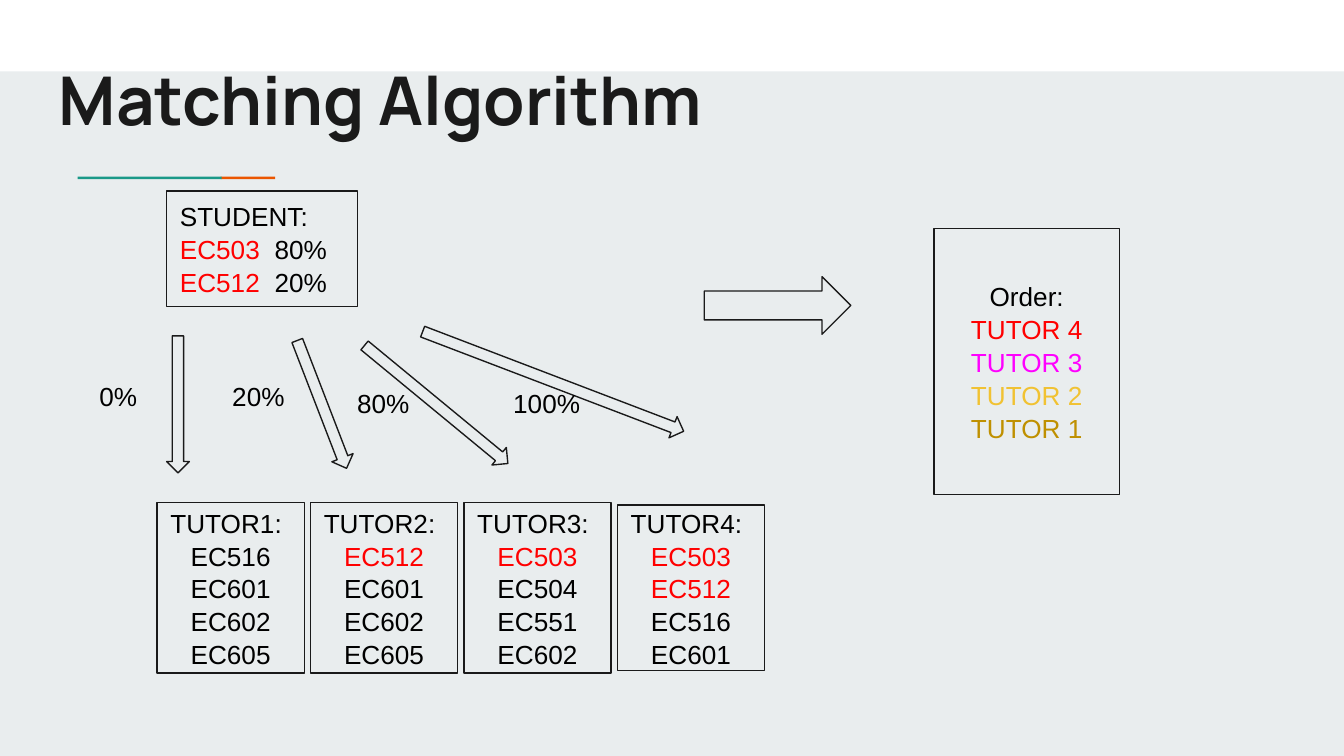
"""Build the Matching Algorithm slide."""
from lxml.etree import SubElement
from pptx import Presentation
from pptx.dml.color import RGBColor
from pptx.enum.shapes import MSO_SHAPE
from pptx.enum.text import MSO_ANCHOR, PP_ALIGN
from pptx.oxml.ns import qn
from pptx.util import Cm, Pt

BG, INK, BLACK, RED = "E9EDEE", "1A1A1A", "000000", "FF0000"


def rgb(value):
    return RGBColor.from_string(value)


def write(sp, lines, size=14, font="Arial", bold=False, spacing=1.05):
    tf = sp.text_frame
    tf.word_wrap = True
    tf.margin_left = tf.margin_right = tf.margin_top = tf.margin_bottom = Cm(0.25)
    for i, (align, runs) in enumerate(lines):
        p = tf.paragraphs[0] if i == 0 else tf.add_paragraph()
        p.alignment = align
        p.line_spacing = spacing
        for text, color in runs:
            r = p.add_run()
            r.text = text
            r.font.size = Pt(size)
            r.font.name = font
            r.font.bold = bold
            r.font.color.rgb = rgb(color)
    return tf


prs = Presentation()
prs.slide_width, prs.slide_height = Cm(25.4), Cm(14.29)
s = prs.slides.add_slide(prs.slide_layouts[6])
s.background.fill.solid()
s.background.fill.fore_color.rgb = rgb(BG)
LEFT, CENTER = PP_ALIGN.LEFT, PP_ALIGN.CENTER

bars = [
    (0, 0, 25.4, 1.35, "FFFFFF"),
    (4.17, 3.34, 1.03, 0.05, "EB5600"),
    (1.47, 3.34, 2.72, 0.05, "1A9988"),
]
for x, y, w, h, color in bars:
    sp = s.shapes.add_shape(MSO_SHAPE.RECTANGLE, Cm(x), Cm(y), Cm(w), Cm(h))
    sp.shadow.inherit = False
    sp.fill.solid()
    sp.fill.fore_color.rgb = rgb(color)
    sp.line.fill.background()

tutors = [
    ("EC516", "EC601", "EC602", "EC605"),
    ("EC512", "EC601", "EC602", "EC605"),
    ("EC503", "EC504", "EC551", "EC602"),
    ("EC503", "EC512", "EC516", "EC601"),
]
wanted = {"EC503": "80%", "EC512": "20%"}
boxes = []
for i, courses in enumerate(tutors):
    y, h = (9.55, 3.12) if i == 3 else (9.5, 3.22)
    lines = [(LEFT, [(f"TUTOR{i + 1}:", BLACK)])]
    lines += [(CENTER, [(c, RED if c in wanted else BLACK)]) for c in courses]
    boxes.append((MSO_SHAPE.FLOWCHART_PROCESS, 2.97 + 2.9 * i, y, 2.78, h, 0, lines))

student = [(LEFT, [("STUDENT:", BLACK)])]
student += [(LEFT, [(c, RED), ("\t" + share, BLACK)]) for c, share in wanted.items()]
boxes.append((MSO_SHAPE.RECTANGLE, 3.15, 3.61, 3.61, 2.18, 0, student))

order = [("Order:", BLACK), ("TUTOR 4", RED), ("TUTOR 3", "FF00FF"),
         ("TUTOR 2", "F1C232"), ("TUTOR 1", "BF9000")]
boxes.append((MSO_SHAPE.RECTANGLE, 17.65, 4.32, 3.51, 5.03, 0,
              [(CENTER, [run]) for run in order]))

boxes += [
    (MSO_SHAPE.DOWN_ARROW, 3.15, 6.35, 0.43, 2.59, 0, []),
    (MSO_SHAPE.DOWN_ARROW, 5.87, 6.35, 0.43, 2.59, 338.9, []),
    (MSO_SHAPE.DOWN_ARROW, 8.03, 5.89, 0.43, 3.51, 309.5, []),
    (MSO_SHAPE.DOWN_ARROW, 10.24, 4.57, 0.43, 5.28, 290.9, []),
    (MSO_SHAPE.RIGHT_ARROW, 13.31, 5.23, 2.77, 1.09, 0, []),
]
for kind, x, y, w, h, angle, lines in boxes:
    sp = s.shapes.add_shape(kind, Cm(x), Cm(y), Cm(w), Cm(h))
    sp.shadow.inherit = False
    sp.rotation = angle
    sp.fill.solid()
    sp.fill.fore_color.rgb = rgb(BG)
    sp.line.color.rgb = rgb(INK)
    sp.line.width = Pt(0.75)
    tf = write(sp, lines)
    tf.vertical_anchor = MSO_ANCHOR.MIDDLE
    if lines is student:
        for p in tf.paragraphs[1:]:
            tabs = SubElement(p._p.get_or_add_pPr(), qn("a:tabLst"))
            SubElement(tabs, qn("a:tab"), pos=str(Cm(1.79)), algn="l")

labels = [
    ("0%", 1.63, 6.55, 1.35, 2.18),
    ("20%", 4.14, 6.55, 1.8, 2.18),
    ("80%", 6.5, 6.68, 1.8, 1.52),
    ("100%", 9.45, 6.68, 2.62, 2.18),
]
for text, x, y, w, h in labels:
    sp = s.shapes.add_textbox(Cm(x), Cm(y), Cm(w), Cm(h))
    tf = write(sp, [(LEFT, [(text, BLACK)])])
    tf.margin_top = Cm(0.85)

sp = s.shapes.add_textbox(Cm(0.86), Cm(0.97), Cm(23.67), Cm(2.41))
write(sp, [(LEFT, [("Matching Algorithm", INK)])], 36, "Manrope", True, 0.95)

prs.save("out.pptx")
